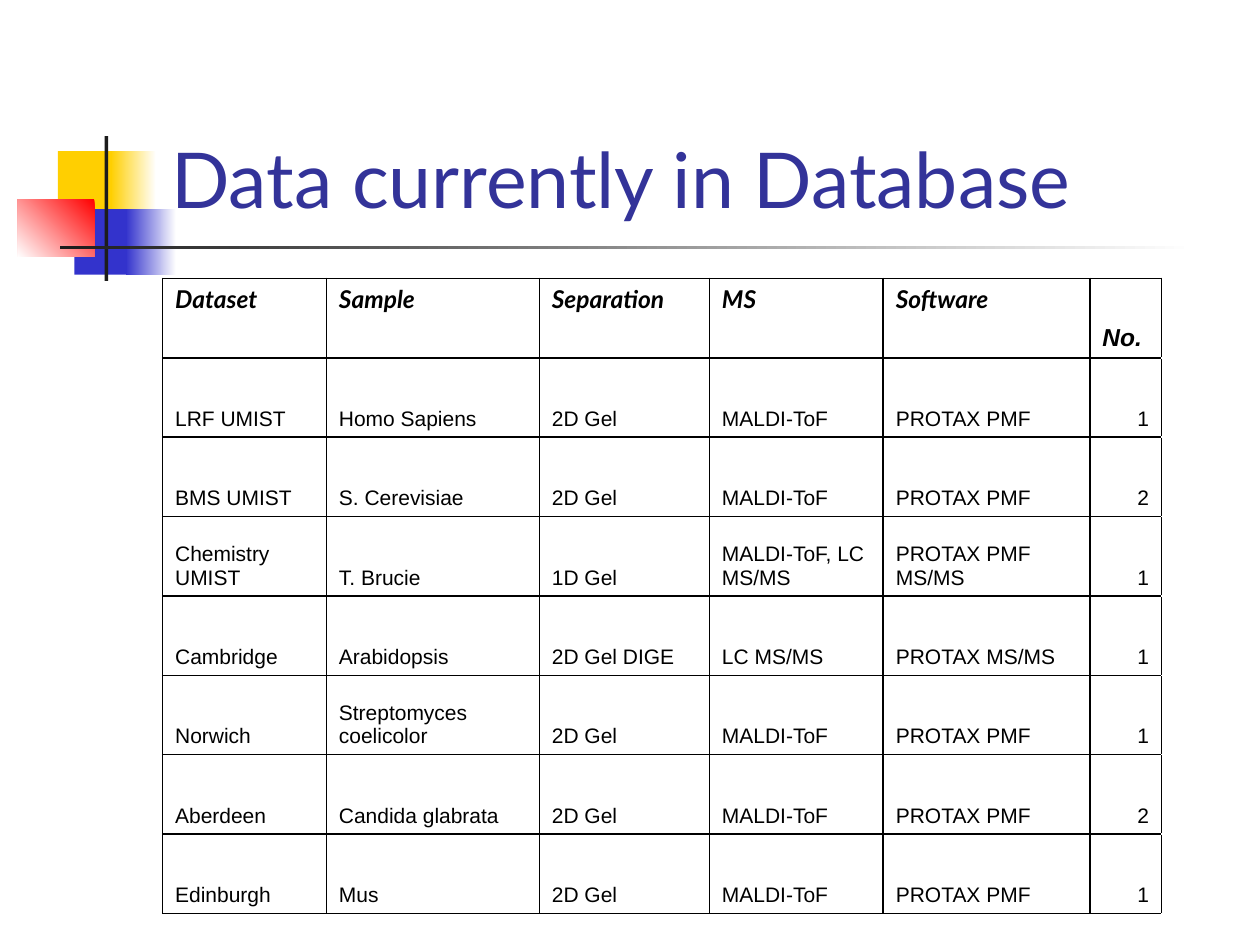
from lxml.etree import SubElement
from pptx import Presentation
from pptx.dml.color import RGBColor
from pptx.enum.shapes import MSO_SHAPE
from pptx.enum.text import MSO_ANCHOR, PP_ALIGN
from pptx.oxml.ns import qn
from pptx.util import Inches, Pt

TITLE = "Data currently in Database"
HEADS = ["Dataset", "Sample", "Separation", "MS", "Software", "No."]
ROWS = [
    ["LRF UMIST", "Homo Sapiens", "2D Gel", "MALDI-ToF", "PROTAX PMF", "1"],
    ["BMS UMIST", "S. Cerevisiae", "2D Gel", "MALDI-ToF", "PROTAX PMF", "2"],
    ["Chemistry UMIST", "T. Brucie", "1D Gel", "MALDI-ToF, LC MS/MS",
     "PROTAX PMF MS/MS", "1"],
    ["Cambridge", "Arabidopsis", "2D Gel DIGE", "LC MS/MS", "PROTAX MS/MS", "1"],
    ["Norwich", "Streptomyces coelicolor", "2D Gel", "MALDI-ToF", "PROTAX PMF", "1"],
    ["Aberdeen", "Candida glabrata", "2D Gel", "MALDI-ToF", "PROTAX PMF", "2"],
    ["Edinburgh", "Mus", "2D Gel", "MALDI-ToF", "PROTAX PMF", "1"],
]

THEME = {
    "white": "FFFFFF", "gold": "FFCF01", "blue": "3333CC", "red": "FF0000",
    "dark": "1C1C1C", "rule": "000000", "line": 0.96, "lead": 3.5,
    "title": {"name": "Lato", "size": Pt(44), "color": "333399"},
    "head": {"name": "Lato", "size": Pt(14), "bold": True, "italic": True,
             "color": "000000"},
    "count": {"name": "Arial", "size": Pt(14), "bold": True, "italic": True,
              "color": "000000"},
    "body": {"name": "Arial", "size": Pt(12), "bold": False, "italic": False,
             "color": "000000"},
}

WIDE, HIGH = Inches(10), Inches(7.5)
MARKS = [
    ((4.6, 16, 4.8, 6.93), ["gold"], 0),
    ((8.8, 16, 3.6, 6.93), ["white", "gold"], 180),
    ((5.9, 22.13, 4.6, 6.93), ["blue"], 0),
    ((10, 22.13, 4, 6.93), ["white", "blue"], 180),
    ((1.4, 21.07, 6.1, 6.13), ["red", "white"], 225),
    ((8.3, 14.4, 0.3, 15.33), ["dark"], 0),
    ((4.8, 26, 90, 0.4), ["white", "dark"], 180),
]
TITLE_BOX = (12.6, 3.07, 85.2, 21.33)
COLS = [13, 16.9, 13.5, 13.8, 16.4, 5.7, 5.7]
ROW = 8.4
GRID_BOX = (12.9, 29.47, sum(COLS), ROW * (len(ROWS) + 1))


def place(box):
    return [int(n * side / 100) for n, side in zip(box, (WIDE, HIGH) * 2)]


def tint(name):
    return RGBColor.from_string(THEME[name])


def write(frame, text, style):
    para = frame.paragraphs[0]
    run = para.add_run()
    run.text = text
    for key, value in THEME[style].items():
        if key == "color":
            run.font.color.rgb = RGBColor.from_string(value)
        else:
            setattr(run.font, key, value)
    return para


def mark(slide, box, tones, turn):
    shape = slide.shapes.add_shape(MSO_SHAPE.RECTANGLE, *place(box))
    shape.shadow.inherit = False
    shape.line.fill.background()
    if len(tones) == 1:
        shape.fill.solid()
        shape.fill.fore_color.rgb = tint(tones[0])
        return
    shape.fill.gradient()
    shape.fill.gradient_angle = turn
    for stop, tone, spot in zip(shape.fill.gradient_stops, tones, (0, 1)):
        stop.color.rgb = tint(tone)
        stop.position = spot


def edge(cell, sides):
    props = cell._tc.get_or_add_tcPr()
    for side in sides:
        line = SubElement(props, qn("a:ln" + side), w=str(int(Pt(THEME["line"]))))
        fill = SubElement(line, qn("a:solidFill"))
        SubElement(fill, qn("a:srgbClr"), val=THEME["rule"])
    cell.fill.background()


def grid(slide):
    table = slide.shapes.add_table(len(ROWS) + 1, len(COLS), *place(GRID_BOX)).table
    for flag in ("first_row", "horz_banding"):
        setattr(table, flag, False)
    for col, width in zip(table.columns, COLS):
        col.width = int(WIDE * width / 100)
    last = len(HEADS) - 1
    for r, texts in enumerate([HEADS] + ROWS):
        table.rows[r].height = int(HIGH * ROW / 100)
        for c, text in enumerate(texts):
            cell = table.cell(r, c)
            edge(cell, "LRTB")
            style = "body" if r else "count" if c == last else "head"
            para = write(cell.text_frame, text, style)
            if style != "head":
                cell.vertical_anchor = MSO_ANCHOR.BOTTOM
            else:
                para.space_before = Pt(THEME["lead"])
            if r and c == last:
                para.alignment = PP_ALIGN.RIGHT
        edge(table.cell(r, last + 1), "L")


def main():
    deck = Presentation()
    deck.slide_width, deck.slide_height = WIDE, HIGH
    slide = deck.slides.add_slide(deck.slide_layouts[6])
    for item in MARKS:
        mark(slide, *item)
    frame = slide.shapes.add_textbox(*place(TITLE_BOX)).text_frame
    for key, value in {"word_wrap": True, "vertical_anchor": MSO_ANCHOR.BOTTOM}.items():
        setattr(frame, key, value)
    write(frame, TITLE, "title")
    grid(slide)
    deck.save("out.pptx")


if __name__ == "__main__":
    main()
